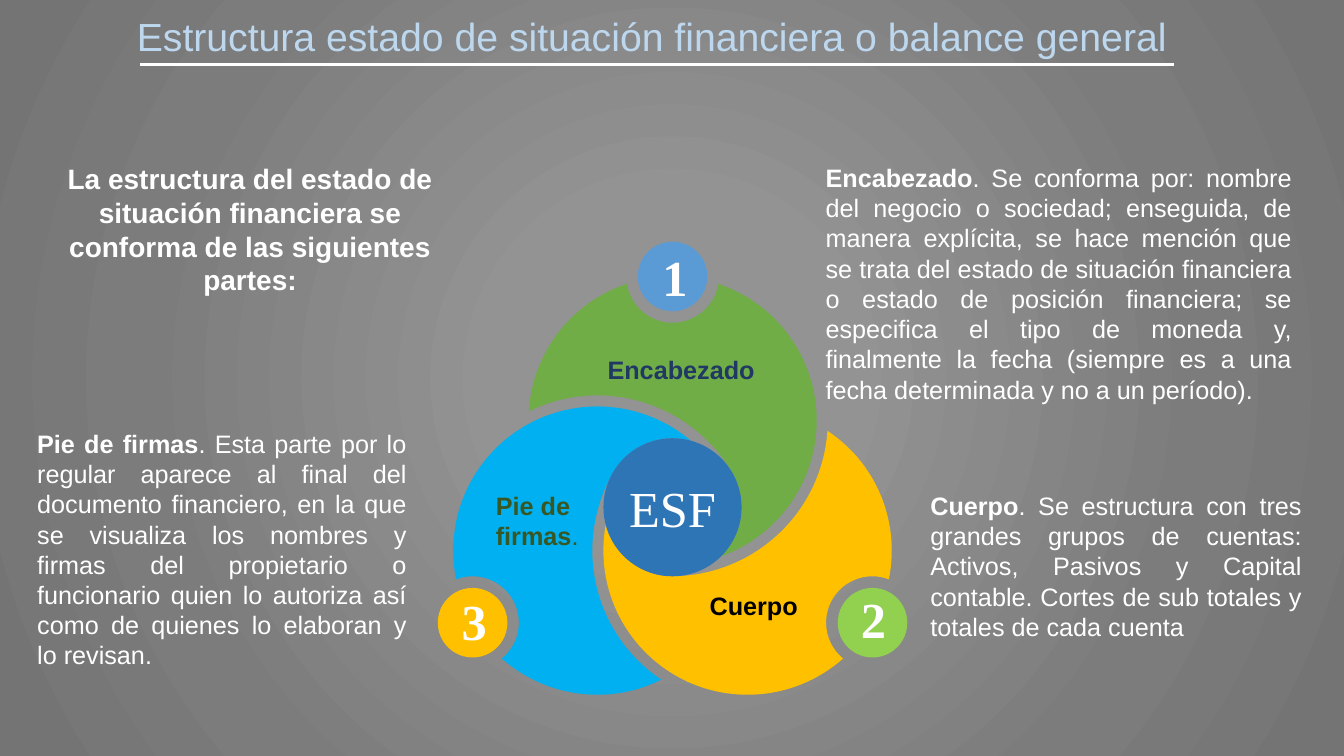
from math import ceil, cos, floor, radians, sin, tan

from pptx import Presentation
from pptx.dml.color import RGBColor
from pptx.enum.shapes import MSO_CONNECTOR, MSO_SHAPE
from pptx.enum.text import MSO_ANCHOR, PP_ALIGN
from pptx.oxml import parse_xml
from pptx.oxml.ns import qn
from pptx.util import Inches, Pt

OVAL, STRAIGHT = MSO_SHAPE.OVAL, MSO_CONNECTOR.STRAIGHT
TOP, MIDDLE = MSO_ANCHOR.TOP, MSO_ANCHOR.MIDDLE
LEFT, CENTER, JUSTIFY = PP_ALIGN.LEFT, PP_ALIGN.CENTER, PP_ALIGN.JUSTIFY

WIDTH, HEIGHT = Inches(13.33), Inches(7.5)
COLUMN, ROW = WIDTH / 100, HEIGHT / 100
TITLE_ONLY = 5

COLORS = {
    "white": "FFFFFF", "black": "000000", "title": "BDD7EE", "navy": "203864",
    "forest": "385723", "green": "70AD47", "gold": "FFC000", "cyan": "00B0F0",
    "hub": "2E75B6", "blue": "5B9BD5", "lime": "92D050",
}
BACKDROP = [(0, "939393"), (23, "939393"), (69, "7C7C7C"), (97, "747474")]
PETALS = [("green", "blue"), ("gold", "lime"), ("cyan", "gold")]

HUB = (WIDTH * 0.5004, HEIGHT * 0.671)
PETAL_ORBIT, PETAL_RADIUS, GAP_RADIUS = Inches(0.86), Inches(1.43), Inches(1.54)
BADGE_ORBIT, BADGE_RADIUS, NOTCH_RADIUS = Inches(2.29), Inches(0.345), Inches(0.46)
HUB_RADIUS = Inches(0.685)

BODY = {"name": "Arial", "size": Pt(18), "bold": False}
STRONG = BODY | {"bold": True}
INTRO = STRONG | {"size": Pt(20)}
HEADING = BODY | {"size": Pt(28)}
NUMERAL = {"name": "Times New Roman", "size": Pt(36), "bold": True}
EMBLEM = NUMERAL | {"bold": False}

TEXTS = [
    ((2.48, 20.75, 30.75, 19.33), CENTER, "white", INTRO,
     "La estructura del estado de situación financiera se conforma de las siguientes partes:", ""),
    ((48.54, 31.87, 2.85, 9.47), LEFT, "white", NUMERAL, "1", ""),
    ((63.32, 77.2, 2.85, 9.47), LEFT, "white", NUMERAL, "2", ""),
    ((33.61, 77.47, 2.85, 9.47), LEFT, "white", NUMERAL, "3", ""),
    ((60.69, 20.8, 36.16, 33.6), JUSTIFY, "white", STRONG, "Encabezado",
     ". Se conforma por: nombre del negocio o sociedad; enseguida, de manera explícita, "
     "se hace mención que se trata del estado de situación financiera o estado de posición "
     "financiera; se especifica el tipo de moneda y, finalmente la fecha (siempre es a una "
     "fecha determinada y no a un período)."),
    ((68.49, 64.18, 29.11, 21.6), JUSTIFY, "white", STRONG, "Cuerpo",
     ". Se estructura con tres grandes grupos de cuentas: Activos, Pasivos y Capital "
     "contable. Cortes de sub totales y totales de cada cuenta"),
    ((2.03, 55.97, 28.96, 33.6), JUSTIFY, "white", STRONG, "Pie de firmas",
     ". Esta parte por lo regular aparece al final del documento financiero, en la que se "
     "visualiza los nombres y firmas del propietario o funcionario quien lo autoriza así "
     "como de quienes lo elaboran y lo revisan."),
    ((44.47, 46.27, 12.53, 5.33), LEFT, "navy", STRONG, "Encabezado", ""),
    ((52.06, 77.4, 8.18, 5.33), LEFT, "black", STRONG, "Cuerpo", ""),
    ((36.16, 64.18, 11.78, 9.47), LEFT, "forest", STRONG, "Pie de firmas", "."),
]


def rgb(name):
    return RGBColor.from_string(COLORS[name])


def on_grid(box):
    left, top, width, height = box
    return [round(value) for value in (left * COLUMN, top * ROW, width * COLUMN, height * ROW)]


def apply(target, formats):
    for name, value in formats.items():
        setattr(target, name, value)


def add_span(para, text, color, formats):
    span = para.add_run()
    span.text = text
    apply(span.font, formats)
    span.font.color.rgb = rgb(color)


def paint(shape, color):
    shape.shadow.inherit = False
    shape.fill.solid()
    shape.fill.fore_color.rgb = rgb(color)
    shape.line.fill.background()


def polar(center, radius, angle):
    return (center[0] + radius * cos(radians(angle)), center[1] + radius * sin(radians(angle)))


def arc(center, radius, start, end):
    low, high = sorted((start, end))
    quarters = [90 * index for index in range(floor(low / 90) + 1, ceil(high / 90))]
    angles = sorted([start, *quarters, end], reverse=start > end)
    points = []
    for first, last in zip(angles, angles[1:]):
        pull = radius * 4 / 3 * tan(radians(last - first) / 4)
        points += [
            polar(polar(center, radius, first), pull, first + 90),
            polar(polar(center, radius, last), -pull, last + 90),
            polar(center, radius, last)]
    return points


def bend(shape):
    route = shape._element.find(".//" + qn("a:path"))
    corners = route.findall(qn("a:lnTo"))
    for first in range(0, len(corners), 3):
        curve = route.makeelement(qn("a:cubicBezTo"), {})
        corners[first].addprevious(curve)
        for corner in corners[first:first + 3]:
            curve.append(corner[0])
            route.remove(corner)


def draw_backdrop(page):
    stops = "".join(
        f'<a:gs pos="{share * 1000}"><a:srgbClr val="{color}"/></a:gs>' for share, color in BACKDROP)
    gradient = parse_xml(
        '<a:gradFill xmlns:a="http://schemas.openxmlformats.org/drawingml/2006/main" rotWithShape="1">'
        f'<a:gsLst>{stops}</a:gsLst><a:path path="circle">'
        '<a:fillToRect l="50000" t="50000" r="50000" b="50000"/></a:path></a:gradFill>')
    page.background.fill.solid()
    solid = page.background._cSld.find(".//" + qn("a:solidFill"))
    solid.getparent().replace(solid, gradient)


def draw_title(page, box):
    title = page.shapes.title
    apply(title, dict(zip(("left", "top", "width", "height"), on_grid(box))))
    apply(title.text_frame, {"word_wrap": True, "vertical_anchor": TOP})
    para = title.text_frame.paragraphs[0]
    apply(para, {"alignment": LEFT, "line_spacing": 1.0})
    add_span(para, "Estructura estado de situación financiera o balance general", "title", HEADING)


def draw_rule(page, box):
    left, top, width, height = on_grid(box)
    rule = page.shapes.add_connector(STRAIGHT, left, top, left + width, top + height)
    rule.line.color.rgb = rgb("white")
    rule.line.width = Pt(1.5)
    rule._element.spPr.append(rule._element.makeelement(qn("a:effectLst"), {}))


def draw_text(page, box, alignment, color, formats, lead, rest):
    frame = page.shapes.add_textbox(*on_grid(box)).text_frame
    frame.word_wrap = True
    para = frame.paragraphs[0]
    para.alignment = alignment
    if alignment == CENTER:
        para._p.get_or_add_pPr().set("marL", str(Inches(0.2)))
    add_span(para, lead, color, formats)
    if rest:
        add_span(para, rest, color, BODY)


def draw_disc(page, center, radius, color):
    left, top = (round(value - radius) for value in center)
    disc = page.shapes.add_shape(OVAL, left, top, round(2 * radius), round(2 * radius))
    paint(disc, color)
    return disc


def draw_petal(page, hub, turn, color):
    center = polar(hub, PETAL_ORBIT, turn - 90)
    neighbor = polar(hub, PETAL_ORBIT, turn + 150)
    badge = polar(hub, BADGE_ORBIT, turn - 90)
    start = polar(center, PETAL_RADIUS, turn - 71.5)
    outline = (
        arc(center, PETAL_RADIUS, turn - 71.5, turn + 70.4)
        + arc(hub, HUB_RADIUS, turn + 45.6, turn - 31.5)
        + arc(neighbor, GAP_RADIUS, turn - 30.7, turn - 116.2)
        + arc(center, PETAL_RADIUS, turn + 183.6, turn + 251.5)
        + arc(badge, NOTCH_RADIUS, turn + 170, turn + 10))
    builder = page.shapes.build_freeform(round(start[0]), round(start[1]))
    builder.add_line_segments([(round(x), round(y)) for x, y in outline], close=True)
    petal = builder.convert_to_shape()
    bend(petal)
    paint(petal, color)


def draw_wheel(page, hub):
    for index, (petal, badge) in enumerate(PETALS):
        draw_petal(page, hub, 120 * index, petal)
    emblem = draw_disc(page, hub, HUB_RADIUS, "hub").text_frame
    apply(emblem, {"word_wrap": False, "vertical_anchor": MIDDLE})
    emblem.paragraphs[0].alignment = CENTER
    add_span(emblem.paragraphs[0], "ESF", "white", EMBLEM)
    for index, (petal, badge) in enumerate(PETALS):
        draw_disc(page, polar(hub, BADGE_ORBIT, 120 * index - 90), BADGE_RADIUS, badge)


def main():
    deck = Presentation()
    apply(deck, {"slide_width": WIDTH, "slide_height": HEIGHT})
    page = deck.slides.add_slide(deck.slide_layouts[TITLE_ONLY])
    draw_backdrop(page)
    draw_wheel(page, HUB)
    for text in TEXTS:
        draw_text(page, *text)
    draw_title(page, (9.43, 0.93, 82.67, 7.6))
    draw_rule(page, (10.43, 8.53, 76.95, 0))
    deck.save("out.pptx")


if __name__ == "__main__":
    main()
